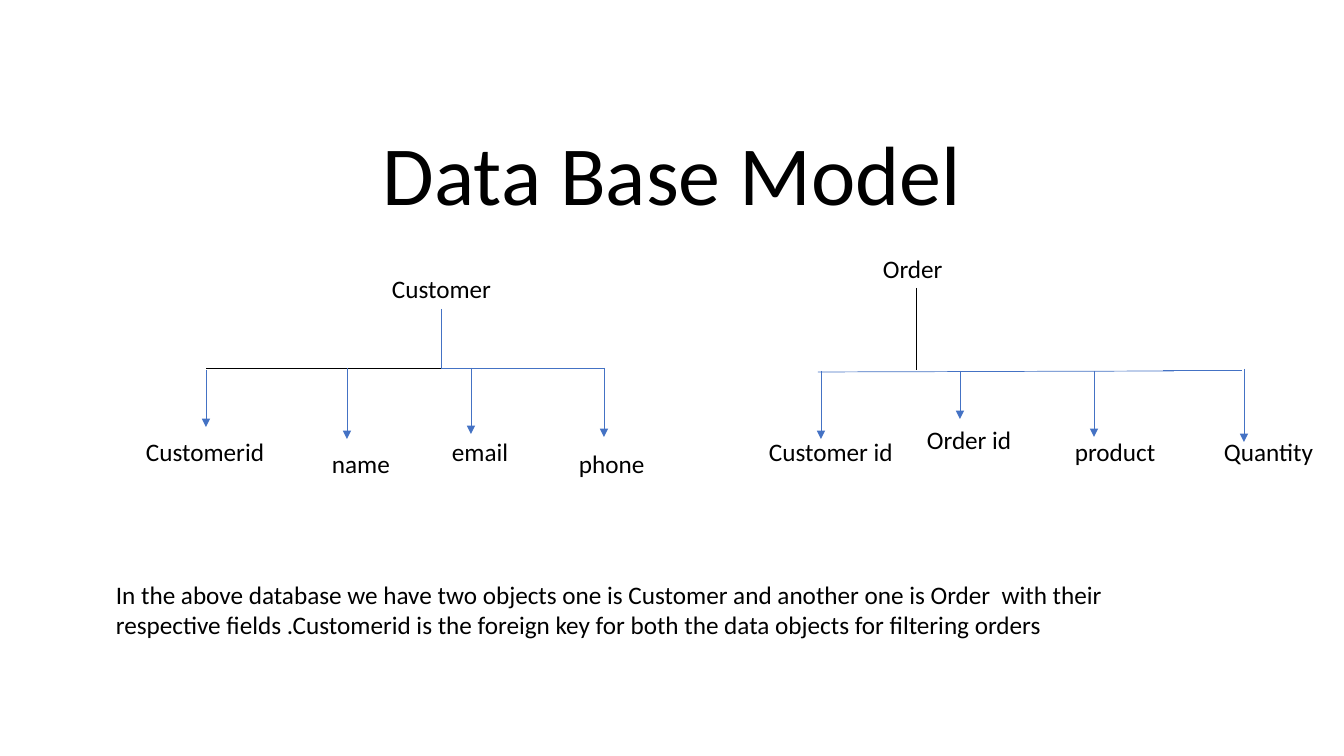
from dataclasses import dataclass

from lxml.etree import SubElement
from pptx import Presentation
from pptx.dml.color import RGBColor
from pptx.enum.shapes import MSO_CONNECTOR as Connector
from pptx.enum.text import MSO_ANCHOR as Anchor, PP_ALIGN as Align
from pptx.oxml.ns import qn
from pptx.util import Emu, Pt

EMU_PER_PX = 914400 / 100.8
BLACK, BLUE = "000000", "4472C4"
LABEL_HEIGHT = 40
LABEL_FONT = {"name": "Calibri", "size": Pt(18)}
TITLE_FONT = LABEL_FONT | {"size": Pt(60)}
TITLE_PARAGRAPH = {"alignment": Align.CENTER, "line_spacing": 0.9}


@dataclass(frozen=True)
class Label:
    """A piece of text and its box."""
    text: str
    left: int
    top: int
    width: int
    height: int = LABEL_HEIGHT


@dataclass(frozen=True)
class Line:
    """A straight line between two points."""
    x1: int
    y1: int
    x2: int
    y2: int
    color: str = BLUE


@dataclass(frozen=True)
class Field:
    """A field of an entity and the arrow that leads to it."""
    label: Label
    arrow_x: int
    arrow_top: int
    arrow_tip: int


@dataclass(frozen=True)
class Entity:
    """A data object with its branching lines and fields."""
    label: Label
    branches: tuple[Line, ...]
    fields: tuple[Field, ...]


TITLE = Label("Data Base Model", 168, 124, 1008, 105)
EXPLANATION = Label(
    "In the above database we have two objects one is Customer and another "
    "one is Order  with their respective fields .Customerid is the foreign "
    "key for both the data objects for filtering orders",
    106, 574, 1108, 72)

CUSTOMER = Entity(
    Label("Customer", 382, 268, 120),
    (Line(441, 309, 441, 368),
     Line(441, 368, 206, 368, BLACK),
     Line(441, 368, 604, 368)),
    (Field(Label("Customerid", 136, 431, 139), 206, 370, 427),
     Field(Label("name", 322, 443, 95), 347, 368, 439),
     Field(Label("email", 442, 431, 102), 471, 368, 434),
     Field(Label("phone", 569, 443, 122), 604, 368, 437)))

ORDER = Entity(
    Label("Order", 873, 248, 87),
    (Line(916, 288, 916, 370, BLACK),
     Line(818, 372, 1174, 371),
     Line(1163, 370, 1242, 370)),
    (Field(Label("Customer id", 759, 431, 157), 821, 371, 439),
     Field(Label("Order id", 917, 419, 176), 960, 371, 419),
     Field(Label("product", 1065, 431, 147), 1094, 371, 437),
     Field(Label("Quantity", 1214, 431, 120), 1244, 369, 442)))


def px(pixels: int) -> Emu:
    """Turn pixels into EMU."""
    return Emu(round(pixels * EMU_PER_PX))


def rgb(color: str) -> RGBColor:
    """Turn a hex string into a colour."""
    return RGBColor.from_string(color)


def apply(target: object, values: dict) -> None:
    """Set every attribute in a dict of format values."""
    for attribute, value in values.items():
        setattr(target, attribute, value)


def draw_label(slide, label: Label, font: dict = LABEL_FONT,
               paragraph_format: dict | None = None,
               anchor: Anchor = Anchor.TOP) -> None:
    """Write a label in a wrapping text box."""
    box = slide.shapes.add_textbox(
        *map(px, (label.left, label.top, label.width, label.height)))
    apply(box.text_frame, {"word_wrap": True, "vertical_anchor": anchor})
    paragraph = box.text_frame.paragraphs[0]
    apply(paragraph, paragraph_format or {})
    run = paragraph.add_run()
    run.text = label.text
    apply(run.font, font)
    run.font.color.rgb = rgb(BLACK)


def draw_line(slide, line: Line, arrow: bool = False) -> None:
    """Draw a thin line, with an arrowhead at its end if asked."""
    connector = slide.shapes.add_connector(
        Connector.STRAIGHT, *map(px, (line.x1, line.y1, line.x2, line.y2)))
    connector.line.width = Pt(0.5)
    connector.line.color.rgb = rgb(line.color)
    if arrow:
        SubElement(connector.line._get_or_add_ln(), qn("a:tailEnd"),
                   type="triangle")
    SubElement(connector._element.spPr, qn("a:effectLst"))


def draw_entity(slide, entity: Entity) -> None:
    """Draw an entity with its branches, arrows and field names."""
    draw_label(slide, entity.label)
    for branch in entity.branches:
        draw_line(slide, branch)
    for field in entity.fields:
        draw_label(slide, field.label)
        draw_line(slide, Line(field.arrow_x, field.arrow_top,
                              field.arrow_x, field.arrow_tip), arrow=True)


def main() -> None:
    """Build and save the slide."""
    deck = Presentation()
    apply(deck, {"slide_width": px(1344), "slide_height": px(756)})
    slide = deck.slides.add_slide(deck.slide_layouts[6])
    draw_label(slide, TITLE, TITLE_FONT, TITLE_PARAGRAPH, Anchor.BOTTOM)
    for entity in (CUSTOMER, ORDER):
        draw_entity(slide, entity)
    draw_label(slide, EXPLANATION)
    deck.save("out.pptx")


main()
